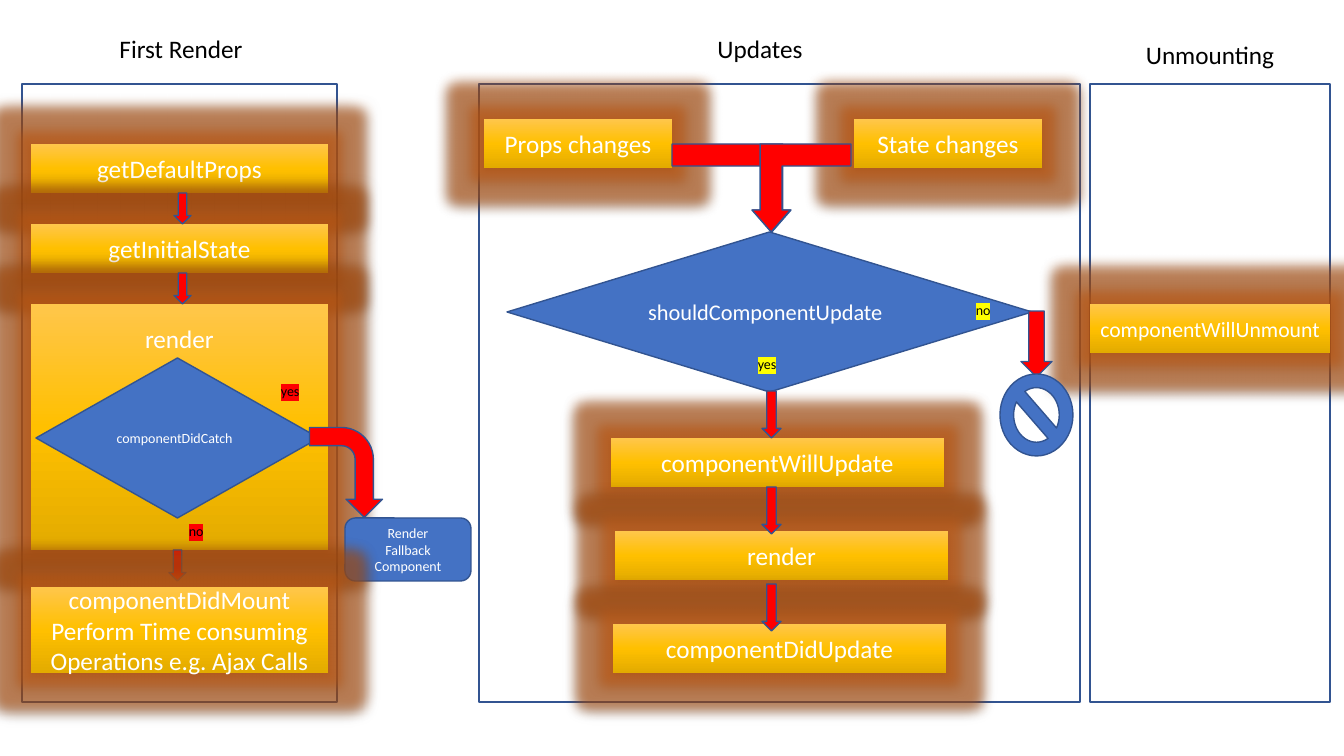
from copy import deepcopy

from lxml import etree
from pptx import Presentation, util as u
from pptx.dml.color import RGBColor
from pptx.enum import shapes, text
from pptx.oxml.ns import qn

SCALE = 914400 / 100.8
KIND = shapes.MSO_SHAPE
ALIGN = text.PP_ALIGN
ANCHOR = text.MSO_ANCHOR
COLORS = {
    "white": "FFFFFF", "black": "000000", "blue": "4472C4", "outline": "325491",
    "red": "FF0000", "yellow": "FFFF00", "glow": "C55A11",
    "gold_top": "FFC64B", "gold": "FFC000", "gold_bottom": "E3AB00",
}


def px(value):
    return u.Emu(round(value * SCALE))


def rgb(name):
    return RGBColor.from_string(COLORS[name])


def add_color(parent, name, alpha=None):
    color = etree.SubElement(parent, qn("a:srgbClr"), val=COLORS[name])
    if alpha is not None:
        etree.SubElement(color, qn("a:alpha"), val=str(alpha * 1000))


class Diagram:
    font = "Calibri"

    def __init__(self, slide):
        self.slide = slide

    def set_text(self, shape, lines, size, color="white", align=ALIGN.CENTER,
                 highlight=None, **frame_format):
        frame = shape.text_frame
        settings = {"word_wrap": True, "vertical_anchor": ANCHOR.MIDDLE, **frame_format}
        for name, value in settings.items():
            setattr(frame, name, value)
        for index, line in enumerate(lines.split("\n")):
            paragraph = frame.paragraphs[0] if index == 0 else frame.add_paragraph()
            paragraph.alignment = align
            run = paragraph.add_run()
            run.text = line
            for name, value in {"name": self.font, "size": u.Pt(size)}.items():
                setattr(run.font, name, value)
            run.font.color.rgb = rgb(color)
            if highlight:
                mark = etree.Element(qn("a:highlight"))
                add_color(mark, highlight)
                run._r.rPr.find(qn("a:latin")).addprevious(mark)

    def shape(self, kind, box, fill, line="outline", adjustments=()):
        shape = self.slide.shapes.add_shape(kind, *map(px, box))
        shape.shadow.inherit = False
        shape.fill.solid()
        shape.fill.fore_color.rgb = rgb(fill)
        if line:
            shape.line.color.rgb = rgb(line)
            shape.line.width = u.Pt(1)
        else:
            shape.line.fill.background()
        for index, value in enumerate(adjustments):
            shape.adjustments[index] = value
        return shape

    def panel(self, left, width):
        self.shape(KIND.RECTANGLE, (left, 84, width, 618), "white")

    def label(self, lines, box, size=18, align=ALIGN.CENTER, highlight=None):
        shape = self.slide.shapes.add_textbox(*map(px, box))
        self.set_text(shape, lines, size, "black", align, highlight,
                      vertical_anchor=ANCHOR.TOP)

    def stage(self, lines, box, size=18, **frame_format):
        shape = self.shape(KIND.RECTANGLE, box, "gold", None)
        shape.fill.gradient()
        shape.fill.gradient_angle = 270
        properties = shape._element.spPr
        stops = properties.find(qn("a:gradFill")).find(qn("a:gsLst"))
        stops.insert(1, deepcopy(stops[0]))
        gradient = ("gold_top", "gold", "gold_bottom")
        for stop, color, position in zip(shape.fill.gradient_stops, gradient, (0, 0.5, 1)):
            stop.color.rgb = rgb(color)
            stop.position = position
        effects = properties.find(qn("a:effectLst"))
        add_color(etree.SubElement(effects, qn("a:glow"), rad="228600"), "glow", 55)
        shadow = etree.SubElement(effects, qn("a:outerShdw"), blurRad="57150",
                                  dist="19050", dir="5400000", algn="ctr", rotWithShape="0")
        add_color(shadow, "black", 63)
        self.set_text(shape, lines, size, margin_left=px(5), margin_right=px(5),
                      **frame_format)

    def decision(self, lines, box, size):
        shape = self.shape(KIND.FLOWCHART_DECISION, box, "blue")
        self.set_text(shape, lines, size, align=ALIGN.LEFT)

    def answer(self, lines, left, top, highlight):
        self.label(lines, (left, top, 47, 27), 10, ALIGN.LEFT, highlight)

    def arrow(self, *box):
        self.shape(KIND.DOWN_ARROW, box, "red")

    def merge_arrow(self, box, flip):
        shape = self.shape(KIND.BENT_UP_ARROW, box, "red", adjustments=(0.25, 0.218, 0.25))
        for name in flip:
            shape._element.spPr.find(qn("a:xfrm")).set(name, "1")


presentation = Presentation()
presentation.slide_width = px(1344)
presentation.slide_height = px(756)
diagram = Diagram(presentation.slides.add_slide(presentation.slide_layouts[6]))

diagram.panel(22, 315)
diagram.label("First Render", (52, 28, 258, 40))
for name, top in (("getDefaultProps", 144), ("getInitialState", 224)):
    diagram.stage(name, (31, top, 297, 49))
diagram.arrow(174, 193, 17, 31)
diagram.stage("render", (31, 304, 297, 246), vertical_anchor=ANCHOR.TOP, margin_top=px(19))
diagram.decision("componentDidCatch", (36, 358, 283, 160), 10)
diagram.shape(KIND.BENT_ARROW, (301, 436, 90, 73), "red").rotation = 90
diagram.answer("yes", 271, 378, "red")
diagram.answer("no", 179, 518, "red")
diagram.arrow(174, 273, 17, 31)
fallback = diagram.shape(KIND.ROUNDED_RECTANGLE, (345, 518, 126, 63), "blue")
diagram.set_text(fallback, "Render\nFallback\nComponent", 10)
diagram.arrow(169, 550, 17, 31)
diagram.stage("componentDidMount\nPerform Time consuming Operations e.g. Ajax Calls",
              (31, 587, 297, 86))

diagram.panel(479, 601)
diagram.label("Updates", (631, 28, 258, 40))
diagram.label("Unmounting", (1081, 34, 258, 40))
diagram.panel(1090, 240)
diagram.stage("componentWillUnmount", (1090, 304, 240, 49), 15.5)

diagram.stage("Props changes", (484, 119, 188, 49))
diagram.decision("shouldComponentUpdate", (507, 232, 525, 160), 16)
diagram.stage("State changes", (854, 119, 188, 49))
diagram.merge_arrow((672, 144, 119, 88), ["flipV"])
diagram.merge_arrow((752, 144, 99, 88), ["flipH", "flipV"])

updates = (
    ("componentWillUpdate", 611, 438, 391),
    ("render", 615, 531, 487),
    ("componentDidUpdate", 613, 624, 584),
)
for name, left, top, arrow_top in updates:
    diagram.stage(name, (left, top, 333, 49))
    diagram.arrow(762, arrow_top, 19, 47)
diagram.answer("yes", 748, 351, "yellow")
diagram.answer("no", 966, 297, "yellow")
diagram.arrow(1021, 311, 31, 66)
diagram.shape(KIND.NO_SYMBOL, (1000, 374, 73, 82), "blue")

presentation.save("out.pptx")
